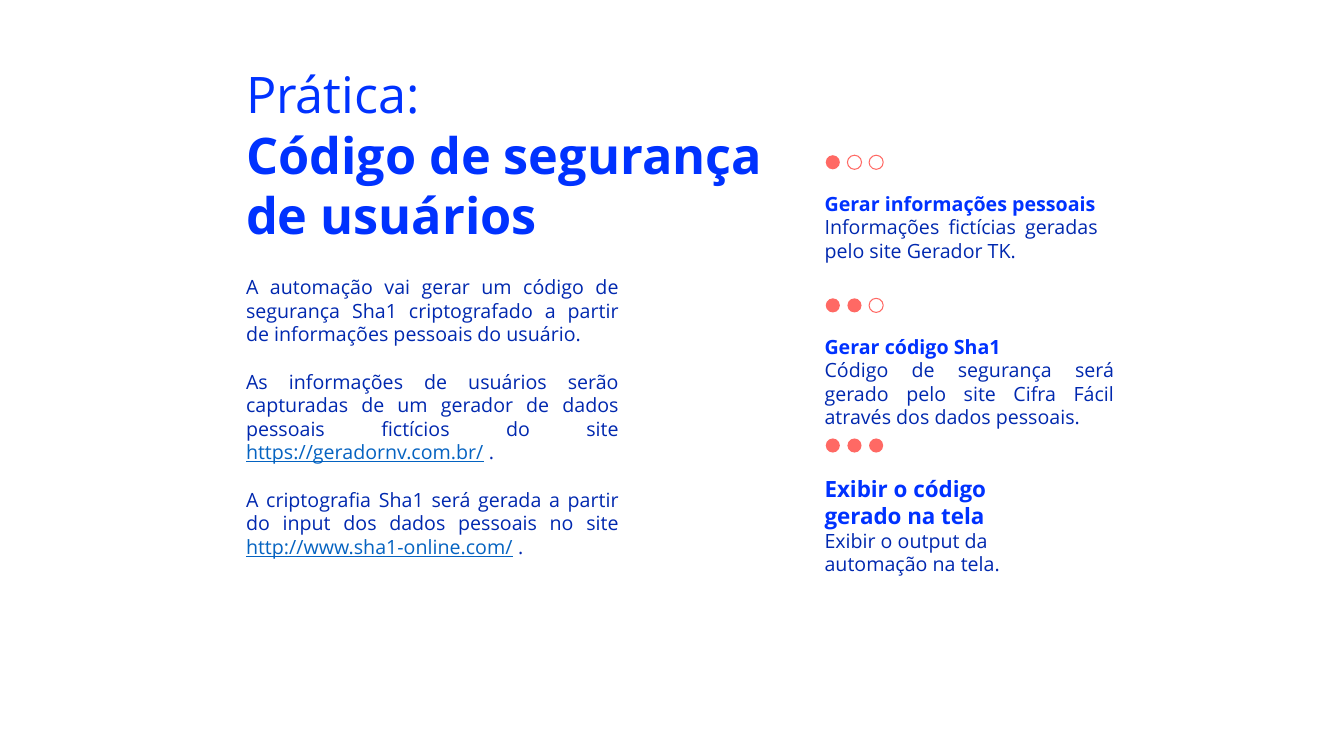
from dataclasses import dataclass

from lxml import etree
from pptx import Presentation
from pptx.dml.color import RGBColor
from pptx.enum.shapes import MSO_SHAPE
from pptx.enum.text import MSO_ANCHOR, MSO_AUTO_SIZE, PP_ALIGN
from pptx.oxml.ns import qn
from pptx.util import Inches, Pt

ELLIPSE = MSO_SHAPE.OVAL
TOP = MSO_ANCHOR.TOP
NO_FIT = MSO_AUTO_SIZE.NONE
LEFT, JUSTIFY = PP_ALIGN.LEFT, PP_ALIGN.JUSTIFY


@dataclass(frozen=True)
class Theme:
    """Font, colours and type sizes of the slide."""
    font: str = "Open Sans"
    heading: RGBColor = RGBColor(0x00, 0x32, 0xFF)
    text: RGBColor = RGBColor(0x00, 0x28, 0xAF)
    link: RGBColor = RGBColor(0x05, 0x63, 0xC1)
    dot: RGBColor = RGBColor(0xFF, 0x69, 0x64)
    title_size: int = 36
    body_size: int = 14
    final_size: int = 16
    gap: int = 17


THEME = Theme()
TITLE = [("Prática:", False), ("Código de segurança de usuários", True)]
BODY = [
    ("A automação vai gerar um código de segurança Sha1 criptografado "
     "a partir de informações pessoais do usuário.", ""),
    ("As informações de usuários serão capturadas de um gerador de dados "
     "pessoais fictícios do site ", "https://geradornv.com.br/"),
    ("A criptografia Sha1 será gerada a partir do input dos dados pessoais "
     "no site ", "http://www.sha1-online.com/"),
]
STEPS = [
    (1.54, 2.91, 0.91, THEME.body_size, JUSTIFY, "Gerar informações pessoais",
     "Informações fictícias geradas pelo site Gerador TK."),
    (2.96, 3.07, 1.14, THEME.body_size, JUSTIFY, "Gerar código Sha1",
     "Código de segurança será gerado pelo site Cifra Fácil através dos "
     "dados pessoais."),
    (4.35, 2.6, 1.21, THEME.final_size, LEFT, "Exibir o código gerado na tela",
     "Exibir o output da automação na tela."),
]


def place(sp, left, top, width, height):
    """Move and size a shape, in inches."""
    box = dict(left=left, top=top, width=width, height=height)
    for name, value in box.items():
        setattr(sp, name, Inches(value))


def frame(sp, margin):
    """Prepare the text frame of a shape and return it."""
    tf = sp.text_frame
    values = dict(word_wrap=True, auto_size=NO_FIT, vertical_anchor=TOP,
                  margin_left=Inches(0.1), margin_right=Inches(0.1),
                  margin_top=Inches(margin), margin_bottom=Inches(margin))
    for name, value in values.items():
        setattr(tf, name, value)
    return tf


def add_paragraph(tf, index, align=LEFT, before=0):
    """Return a paragraph without bullet or indent."""
    p = tf.add_paragraph() if index else tf.paragraphs[0]
    p.alignment = align
    p.space_before = Pt(before if index else 0)
    props = p._p.get_or_add_pPr()
    props.set("marL", "0")
    props.set("indent", "0")
    etree.SubElement(props, qn("a:buNone"))
    return p


def add_run(p, text, size, color, **extra):
    """Add a formatted run to a paragraph."""
    r = p.add_run()
    r.text = text
    for name, value in dict(name=THEME.font, size=Pt(size), **extra).items():
        setattr(r.font, name, value)
    r.font.color.rgb = color


def fill_title(sp):
    """Write the two-part title."""
    place(sp, 2.34, 0.58, 5.86, 1.92)
    tf = frame(sp, 0.05)
    for i, (text, bold) in enumerate(TITLE):
        add_run(add_paragraph(tf, i), text, THEME.title_size, THEME.heading,
                bold=bold)


def fill_body(sp):
    """Write the description with its web addresses."""
    place(sp, 2.34, 2.68, 3.9, 2.77)
    tf = frame(sp, 0.05)
    for i, (text, address) in enumerate(BODY):
        p = add_paragraph(tf, i, JUSTIFY, THEME.gap)
        add_run(p, text, THEME.body_size, THEME.text)
        if address:
            add_run(p, address, THEME.body_size, THEME.link, underline=True)
            add_run(p, " .", THEME.body_size, THEME.text)


def add_dots(slide, top, done):
    """Draw three progress dots, the first ones filled."""
    for i in range(3):
        sp = slide.shapes.add_shape(ELLIPSE, 0, 0, 0, 0)
        place(sp, 8.19 + i * 0.43 / 2, top, 0.14, 0.14)
        sp.shadow.inherit = False
        if i < done:
            sp.fill.solid()
            sp.fill.fore_color.rgb = THEME.dot
            sp.line.fill.background()
        else:
            sp.fill.background()
            sp.line.color.rgb = THEME.dot
            sp.line.width = Pt(0.75)


def add_step(slide, top, width, height, size, align, heading, text):
    """Add the heading and explanation of a step."""
    sp = slide.shapes.add_textbox(0, 0, 0, 0)
    place(sp, 8.08, top + 0.26, width, height)
    tf = frame(sp, 0.1)
    add_run(add_paragraph(tf, 0), heading, size, THEME.heading, bold=True)
    add_run(add_paragraph(tf, 1, align), text, THEME.body_size, THEME.text)


def main():
    """Build and save the slide."""
    prs = Presentation()
    prs.slide_width, prs.slide_height = Inches(13.33), Inches(7.5)
    slide = prs.slides.add_slide(prs.slide_layouts[1])
    fill_title(slide.shapes.title)
    fill_body(slide.placeholders[1])
    for number, (top, *content) in enumerate(STEPS, 1):
        add_dots(slide, top, number)
        add_step(slide, top, *content)
    prs.save("out.pptx")


if __name__ == "__main__":
    main()
